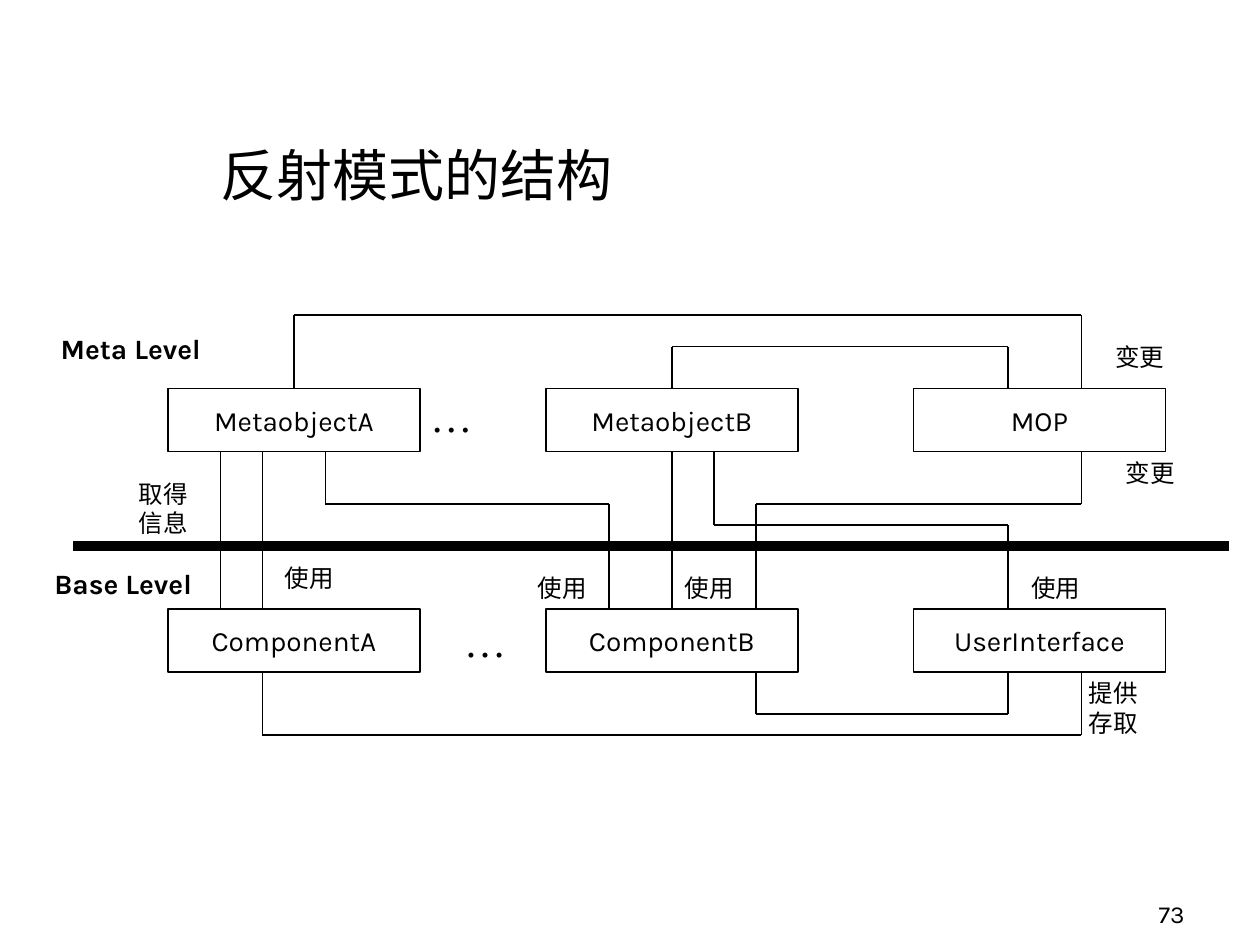
import pptx
import pptx.util
import pptx.dml.color
import pptx.enum.shapes
import pptx.enum.text
import pptx.oxml
import pptx.oxml.ns

SCALE = 7620  # EMU per px, 120 px to the inch
BLACK = "000000"
ALIGN = pptx.enum.text.PP_ALIGN
ANCHOR = pptx.enum.text.MSO_ANCHOR


def color(value):
    return pptx.dml.color.RGBColor.from_string(value)


def write(shape, lines, size, font="Karla", bold=False, align=ALIGN.CENTER,
          anchor=ANCHOR.TOP, wrap=False):
    frame = shape.text_frame
    frame.word_wrap = wrap
    frame.vertical_anchor = anchor
    for index, line in enumerate(lines):
        paragraph = frame.add_paragraph() if index else frame.paragraphs[0]
        paragraph.alignment = align
        run = paragraph.add_run()
        run.text = line
        run.font.size = pptx.util.Pt(size)
        run.font.name = font
        run.font.bold = bold
        run.font.color.rgb = color(BLACK)


presentation = pptx.Presentation()
presentation.slide_width = 1200 * SCALE
presentation.slide_height = 900 * SCALE
slide = presentation.slides.add_slide(presentation.slide_layouts[5])
shapes = slide.shapes

# Title, without side margins so that it stays on one line
title = shapes.title
title.left, title.top, title.width, title.height = [
    value * SCALE for value in (198, 128, 397, 76)]
write(title, ["反射模式的结构"], 32, anchor=ANCHOR.MIDDLE)
title.text_frame.margin_left = title.text_frame.margin_right = 0
title.text_frame.auto_size = pptx.enum.text.MSO_AUTO_SIZE.NONE

# Page number
number = shapes.add_textbox(890 * SCALE, 830 * SCALE, 250 * SCALE, 60 * SCALE)
write(number, ["73"], 14, align=ALIGN.RIGHT, anchor=ANCHOR.BOTTOM, wrap=True)

# Level names, set apart above and below the dividing bar
levels = shapes.add_textbox(40 * SCALE, 310 * SCALE, 445 * SCALE, 269 * SCALE)
write(levels, ["Meta Level", "Base Level"], 16, bold=True, align=ALIGN.LEFT, wrap=True)
meta_level, base_level = levels.text_frame.paragraphs
meta_level._p.get_or_add_pPr().set("marL", str(6 * SCALE))
base_level.space_before = pptx.util.Pt(115)

# Boxes: three columns on two levels; note the middles of top and bottom sides
BOX_WIDTH, BOX_HEIGHT = 240, 60
COLUMNS = (160, 520, 870)
ROWS = {
    370: ("MetaobjectA", "MetaobjectB", "MOP"),
    580: ("ComponentA", "ComponentB", "UserInterface"),
}
sites = {}
for top, names in ROWS.items():
    for left, name in zip(COLUMNS, names):
        box = shapes.add_shape(pptx.enum.shapes.MSO_SHAPE.RECTANGLE, left * SCALE,
                               top * SCALE, BOX_WIDTH * SCALE, BOX_HEIGHT * SCALE)
        box.shadow.inherit = False
        box.fill.background()
        box.line.color.rgb = color(BLACK)
        box.line.width = pptx.util.Pt(0.75)
        write(box, [name], 16, anchor=ANCHOR.MIDDLE)
        middle = left + BOX_WIDTH // 2
        sites[middle, top] = (box, 0)
        sites[middle, top + BOX_HEIGHT] = (box, 2)

# Routes between boxes, each drawn as straight segments, and the dividing bar
ROUTES = [
    (0.75, [(280, 370), (280, 300), (1030, 300), (1030, 370)]),
    (0.75, [(640, 370), (640, 330), (960, 330), (960, 370)]),
    (0.75, [(210, 430), (210, 580)]),
    (0.75, [(250, 430), (250, 580)]),
    (0.75, [(310, 430), (310, 480), (580, 480), (580, 580)]),
    (0.75, [(640, 430), (640, 580)]),
    (0.75, [(1030, 430), (1030, 480), (720, 480), (720, 580)]),
    (6, [(70, 520), (1170, 520)]),
    (0.75, [(250, 640), (250, 700), (1030, 700), (1030, 640)]),
    (0.75, [(720, 640), (720, 680), (960, 680), (960, 640)]),
    (0.75, [(680, 430), (680, 500), (960, 500), (960, 580)]),
]
for width, points in ROUTES:
    for start, end in zip(points, points[1:]):
        connector = shapes.add_connector(
            pptx.enum.shapes.MSO_CONNECTOR.STRAIGHT,
            *[value * SCALE for value in start + end])
        connector.line.color.rgb = color(BLACK)
        connector.line.width = pptx.util.Pt(width)
        connector._element.spPr.append(
            pptx.oxml.parse_xml("<a:effectLst %s/>" % pptx.oxml.ns.nsdecls("a")))
        if start in sites:
            connector.begin_connect(*sites[start])
        if end in sites:
            connector.end_connect(*sites[end])

# Relation labels
LABELS = [
    (120, 450, ["取得", "信息"]),
    (259, 530, ["使用"]),
    (500, 540, ["使用"]),
    (640, 540, ["使用"]),
    (970, 540, ["使用"]),
    (1050, 320, ["变更"]),
    (1060, 430, ["变更"]),
    (1025, 640, ["提供", "存取"]),
]
for left, top, lines in LABELS:
    height = 12 + 28 * len(lines)
    label = shapes.add_textbox(left * SCALE, top * SCALE, 71 * SCALE, height * SCALE)
    write(label, lines, 14)

# Ellipses between the first two columns
for left, top in ((398, 366), (430, 580)):
    ellipsis = shapes.add_textbox(left * SCALE, top * SCALE, 64 * SCALE, 60 * SCALE)
    write(ellipsis, ["…"], 24, font="Times New Roman")

presentation.save("out.pptx")
